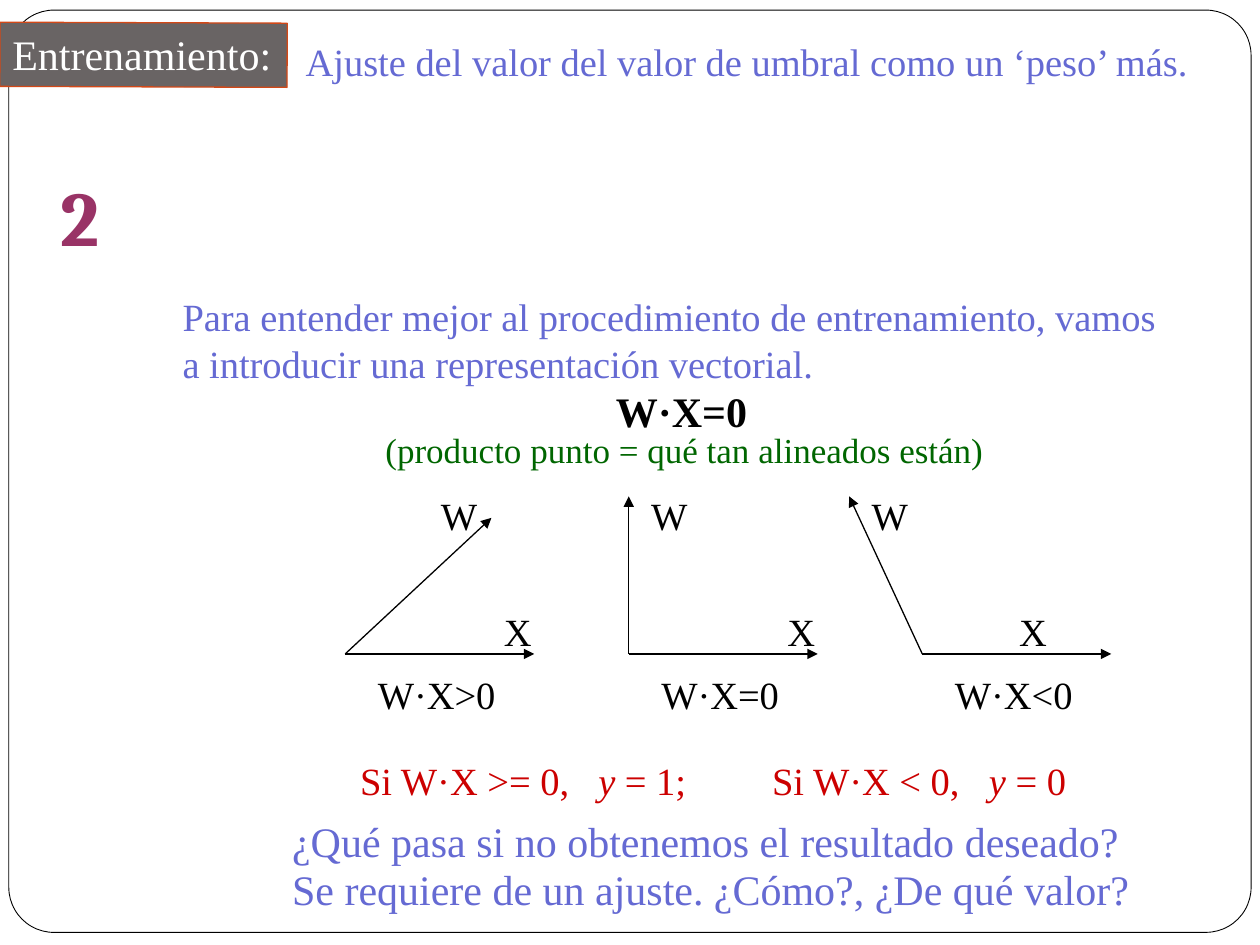
from lxml import etree
from pptx import Presentation
from pptx.dml.color import RGBColor
from pptx.enum.shapes import MSO_CONNECTOR, MSO_SHAPE
from pptx.enum.text import MSO_ANCHOR, MSO_AUTO_SIZE, PP_ALIGN
from pptx.oxml.ns import qn
from pptx.util import Inches, Pt

LEFT, CENTER = PP_ALIGN.LEFT, PP_ALIGN.CENTER
TOP = MSO_ANCHOR.TOP
NO_AUTOFIT = MSO_AUTO_SIZE.NONE
RECT, ROUNDED = MSO_SHAPE.RECTANGLE, MSO_SHAPE.ROUNDED_RECTANGLE
STRAIGHT = MSO_CONNECTOR.STRAIGHT

THEME = {
    "font": "Times New Roman", "number_font": "Cambria",
    "blue": "656AD3", "green": "006600", "red": "CC0000", "purple": "993366",
    "black": "000000", "white": "FFFFFF", "gray": "696464", "orange": "D34817",
    "small": 20, "body": 22, "large": 24, "number": 44,
}

# Content: a paragraph is a list of (text, style) runs
TITLE = "Ajuste del valor del valor de umbral como un ‘peso’ más."
TAG = "Entrenamiento:"
NUMBER = "2"
INTRO = ("Para entender mejor al procedimiento de entrenamiento, "
         "vamos a introducir una representación vectorial.")
EQUATION = "W·X=0"
EXPLANATION = "(producto punto = qué tan alineados están)"
RULE = [("Si W·X >= 0,\t", ""), ("y ", "i"), ("= 1;\tSi W·X < 0,\t", ""),
        ("y ", "i"), ("= 0", "")]
RULE_TABS = (1.89, 3.27, 4.99)
QUESTIONS = ["¿Qué pasa si no obtenemos el resultado deseado?",
             "Se requiere de un ajuste. ¿Cómo?, ¿De qué valor?"]

# Vector diagrams: origin x, tip of W, left of the W and X labels, caption
DIAGRAMS = [
    (2.74, (3.90, 4.11), 3.40, 3.90, "W·X>0"),
    (4.99, (4.99, 3.94), 5.07, 6.15, "W·X=0"),
    (7.32, (6.74, 3.94), 6.82, 7.99, "W·X<0"),
]
AXIS_Y, AXIS_LENGTH = 5.19, 1.5


def color(name):
    return RGBColor.from_string(THEME[name])


def write(tf, paragraphs, size, ink, font="font", align=LEFT, gap=0, spacing=None):
    tf.word_wrap = True
    tf.auto_size = NO_AUTOFIT
    tf.vertical_anchor = TOP
    tf.margin_left = tf.margin_right = Inches(0.1)
    tf.margin_top = tf.margin_bottom = Inches(0.05)
    for i, runs in enumerate(paragraphs):
        p = tf.add_paragraph() if i else tf.paragraphs[0]
        p.alignment = align
        p.space_before = Pt(gap if i else 0)
        if spacing:
            p.line_spacing = spacing
        for text, style in runs:
            r = p.add_run()
            r.text = text
            r.font.name = THEME[font]
            r.font.size = Pt(THEME[size])
            r.font.color.rgb = color(ink)
            r.font.bold = "b" in style
            r.font.italic = "i" in style


def add_text(s, box, paragraphs, size="body", ink="black", **options):
    tf = s.shapes.add_textbox(*map(Inches, box)).text_frame
    write(tf, paragraphs, size, ink, **options)
    return tf


def add_box(s, shape, box, fill, line, width):
    sp = s.shapes.add_shape(shape, *map(Inches, box))
    sp.shadow.inherit = False
    sp.fill.solid()
    sp.fill.fore_color.rgb = color(fill)
    sp.line.color.rgb = color(line)
    sp.line.width = Pt(width)
    return sp


def add_arrow(s, start, end):
    arrow = s.shapes.add_connector(STRAIGHT, *map(Inches, (*start, *end)))
    arrow.line.color.rgb = color("black")
    arrow.line.width = Pt(0.75)
    etree.SubElement(arrow.line._get_or_add_ln(), qn("a:tailEnd"), type="triangle")
    etree.SubElement(arrow._element.spPr, qn("a:effectLst"))


def add_tabs(p, stops):
    tabs = etree.SubElement(p._p.get_or_add_pPr(), qn("a:tabLst"))
    for stop in stops:
        etree.SubElement(tabs, qn("a:tab"), pos=str(Inches(stop)), algn="l")


def outline(r, ink, width):
    ln = etree.Element(qn("a:ln"), w=str(Pt(width)))
    fill = etree.SubElement(ln, qn("a:solidFill"))
    etree.SubElement(fill, qn("a:srgbClr"), val=THEME[ink])
    r.font._element.insert(0, ln)


def main():
    prs = Presentation()
    prs.slide_width, prs.slide_height = Inches(10), Inches(7.5)
    s = prs.slides.add_slide(prs.slide_layouts[5])

    # Frame, behind everything else
    frame = add_box(s, ROUNDED, (0.07, 0.08, 9.86, 7.32), "white", "black", 0.5)
    frame.adjustments[0] = 0.049
    s.shapes._spTree.insert(2, frame._element)

    # Title, tag and slide number
    title = s.shapes.title
    title.left, title.top, title.width, title.height = map(
        Inches, (2.09, 0.25, 7.67, 0.47))
    write(title.text_frame, [[(TITLE, "")]], "body", "blue", align=CENTER)
    tag = add_box(s, RECT, (0, 0.18, 2.28, 0.51), "gray", "orange", 0.75)
    tag.rotation = 0.2
    write(tag.text_frame, [[(TAG, "")]], "large", "white")
    tf = add_text(s, (0.46, 1.3, 0.35, 0.75), [[(NUMBER, "b")]], "number", "purple",
                  font="number_font", align=CENTER)
    tf.word_wrap = False
    outline(tf.paragraphs[0].runs[0], "blue", 2)

    # Introduction and dot product
    add_text(s, (1.35, 2.28, 8.12, 0.83), [[(INTRO, "")]], ink="blue")
    add_text(s, (4.79, 3.01, 1.33, 0.5), [[(EQUATION, "b")]], "large")
    add_text(s, (2.96, 3.35, 5.75, 0.43), [[(EXPLANATION, "")]], "small", "green")

    # Vector diagrams
    for x, tip, w_left, x_left, caption in DIAGRAMS:
        origin = (x, AXIS_Y)
        add_arrow(s, origin, (x + AXIS_LENGTH, AXIS_Y))
        add_arrow(s, origin, tip)
        for text, left, top, width in (("W", w_left, 3.86, 0.58),
                                       ("X", x_left, 4.78, 0.58),
                                       (caption, x + 0.16, 5.28, 1.17)):
            add_text(s, (left, top, width, 0.47), [[(text, "")]])

    # Decision rule and closing questions
    tf = add_text(s, (2.76, 5.96, 6.17, 0.47), [RULE], ink="red")
    add_tabs(tf.paragraphs[0], RULE_TABS)
    add_text(s, (2.22, 6.6, 6.85, 0.7), [[(q, "")] for q in QUESTIONS],
             "large", "blue", gap=13, spacing=0.5)

    prs.save("out.pptx")


if __name__ == "__main__":
    main()
